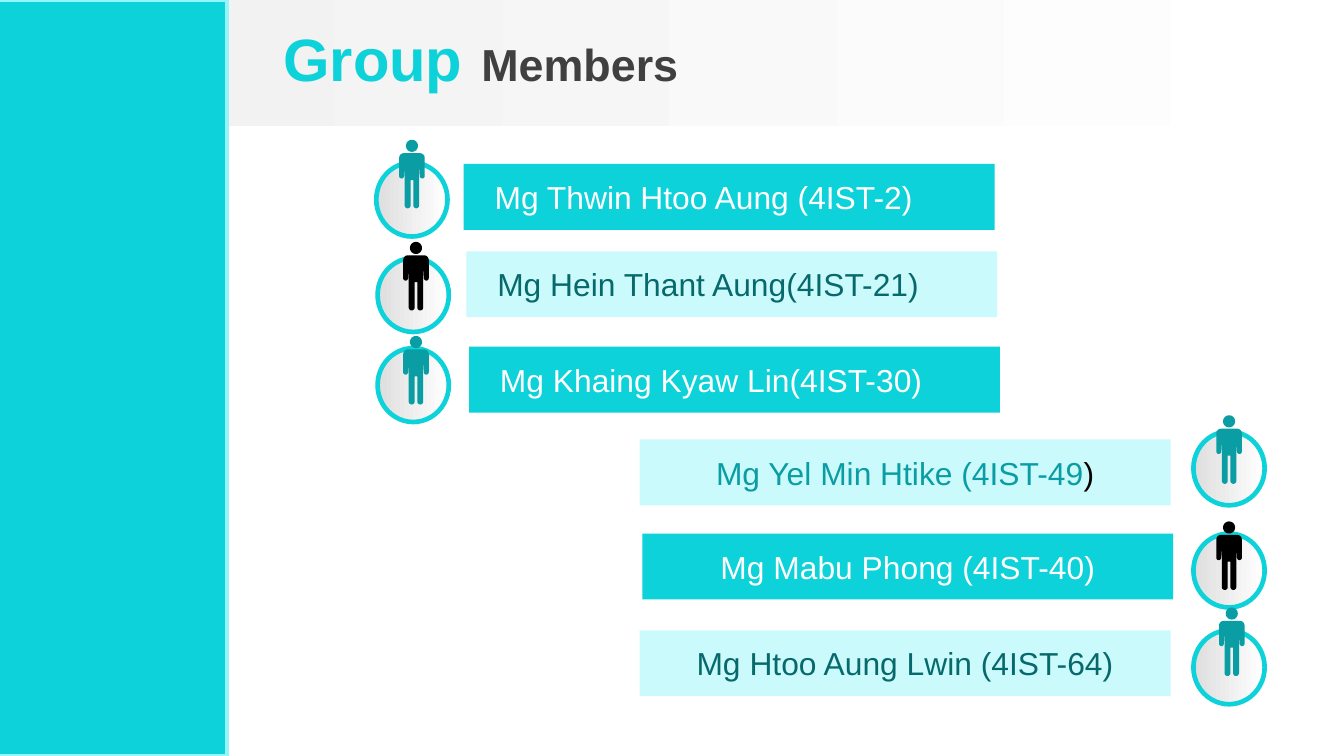
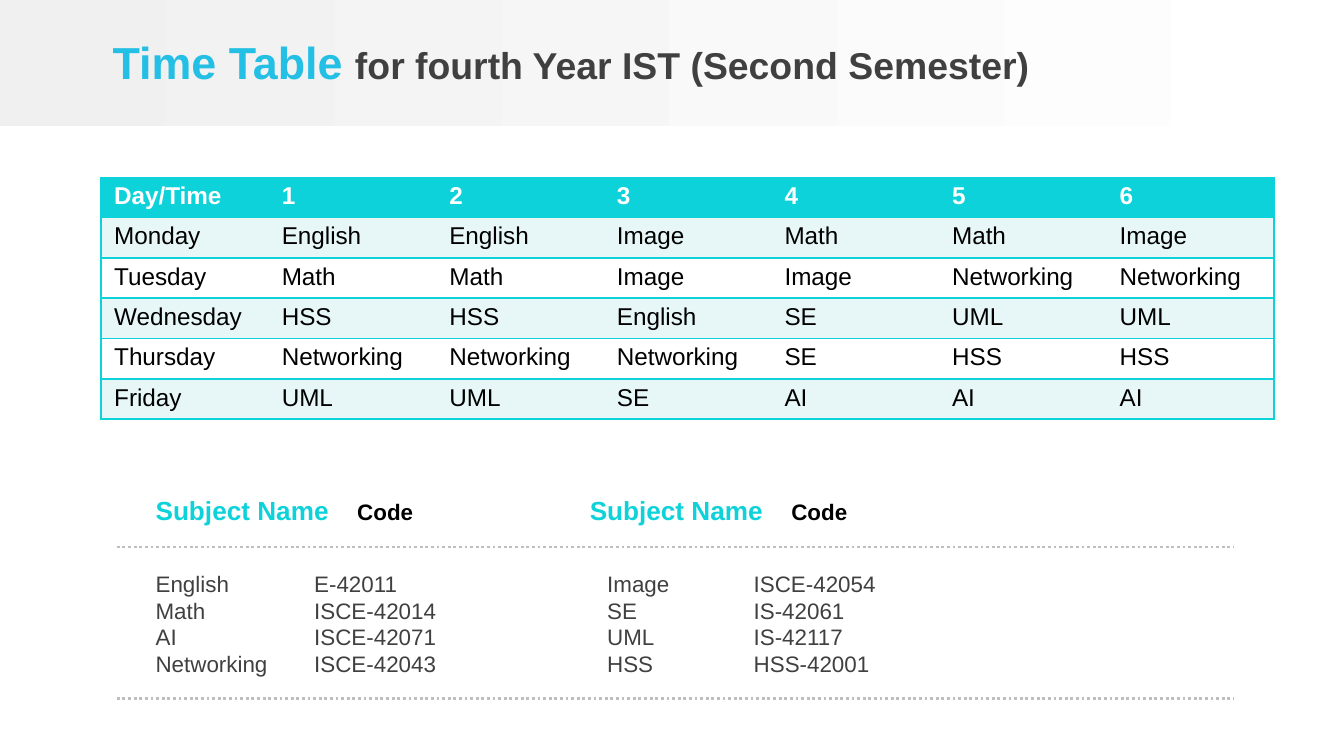
from math import cos, radians, sin

from lxml.etree import SubElement
from pptx import Presentation
from pptx.dml.color import RGBColor
from pptx.enum.dml import MSO_LINE
from pptx.enum.shapes import MSO_CONNECTOR, MSO_SHAPE
from pptx.enum.text import MSO_ANCHOR, PP_ALIGN
from pptx.oxml.ns import qn
from pptx.util import Inches, Pt

WIDTH = 10
HEIGHT = WIDTH * 9 / 16
FONT = "Arial"
COLOURS = {
    "cyan": "0DD2D9", "pale": "CAFAFC", "edge": "95F5F9", "teal": "0A9DA3",
    "deep": "07696C", "sky": "24BFE4", "ink": "404040", "black": "000000",
    "white": "FFFFFF", "band": "F0F0F0", "disc": "DEDEDE", "dots": "BFBFBF",
    "stripe": "E7F7F8",
}

GROUP_TITLE = [("Group", 32, "cyan", True), (" ", 36, "ink", True), ("Members", 24, "ink", True)]
TIMETABLE_TITLE = [("Time Table ", 24, "sky", True),
                   ("for fourth Year IST (Second Semester)", 20, "ink", True)]

MEMBERS = {
    "left": [
        ([("Mg Thwin Htoo Aung (4IST-2)", "white")], "cyan", (3.45, 1.22), (2.8, 1.21), (2.97, 1.04), "teal"),
        ([("Mg Hein Thant Aung(4IST-21)", "deep")], "pale", (3.47, 1.87), (2.81, 1.92), (3, 1.8), "black"),
        ([("Mg Khaing Kyaw Lin(4IST-30)", "white")], "cyan", (3.49, 2.58), (2.81, 2.59), (3, 2.5), "teal"),
    ],
    "right": [
        ([("Mg Yel Min Htike (4IST-49", "teal"), (")", "black")], "pale",
         (4.76, 3.27), (8.88, 3.21), (9.05, 3.09), "teal"),
        ([("Mg Mabu Phong (4IST-40)", "white")], "cyan", (4.78, 3.97), (8.88, 3.97), (9.05, 3.88), "black"),
        ([("Mg Htoo Aung Lwin (4IST-64)", "deep")], "pale", (4.76, 4.69), (8.88, 4.69), (9.07, 4.52), "teal"),
    ],
}
BAR_SIZE, DISC_SIZE = (3.95, 0.49), (0.53, 0.55)

PERSON_UNIT = 0.01
BODY_ARCS = [
    (3.5, 13.5, 3.5, 180, 270), (15.5, 13.5, 3.5, 270, 360),
    (17.2, 27, 1.8, 0, 180), (14.9, 18, 0, 0, 0),
    (12.7, 48.8, 2.2, 0, 180), (10.5, 30, 0, 0, 0), (8.5, 30, 0, 0, 0),
    (6.3, 48.8, 2.2, 0, 180), (4.1, 18, 0, 0, 0),
    (1.8, 27, 1.8, 0, 180),
]
HEAD_ARCS = [(9.5, 4.5, 4.5, 0, 360)]

TIMETABLE = [
    ["Day/Time", "1", "2", "3", "4", "5", "6"],
    ["Monday", "English", "English", "Image", "Math", "Math", "Image"],
    ["Tuesday", "Math", "Math", "Image", "Image", "Networking", "Networking"],
    ["Wednesday", "HSS", "HSS", "English", "SE", "UML", "UML"],
    ["Thursday", "Networking", "Networking", "Networking", "SE", "HSS", "HSS"],
    ["Friday", "UML", "UML", "SE", "AI", "AI", "AI"],
]
TABLE_LEFT, TABLE_TOP, TABLE_WIDTH, ROW, CELL_MARGIN = 0.75, 1.32, 8.73, 0.3, 0.04
SUBJECTS = [
    ("English", "E-42011", "Image", "ISCE-42054"),
    ("Math", "ISCE-42014", "SE", "IS-42061"),
    ("AI", "ISCE-42071", "UML", "IS-42117"),
    ("Networking", "ISCE-42043", "HSS", "HSS-42001"),
]
SUBJECT_HEADING = [("Subject Name\t", 14, "cyan", True), ("Code", 12, "black", True)]
HEADING_LEFTS, HEADING_TABS, SUBJECT_TABS = (1.06, 4.29), [1.5], [1.18, 3.36, 4.45]
RULE_SPAN, RULE_TOPS = (0.87, 9.18), (4.07, 5.2)


def rgb(colour):
    """Look up a named colour."""
    return RGBColor.from_string(COLOURS[colour])


def inches(*lengths):
    """Turn several lengths into slide units."""
    return [Inches(length) for length in lengths]


def write(paragraph, runs, tabs=()):
    """Add runs of (text, size, colour, bold) and the tab stops between them."""
    for text, size, colour, bold in runs:
        run = paragraph.add_run()
        run.text = text
        run.font.name, run.font.size, run.font.bold = FONT, Pt(size), bold
        run.font.color.rgb = rgb(colour)
    if tabs:
        stops = SubElement(paragraph._p.get_or_add_pPr(), qn("a:tabLst"))
        for stop in tabs:
            SubElement(stops, qn("a:tab"), pos=str(Inches(stop)), algn="l")


def add_text(slide, box, lines, tabs=(), anchor=MSO_ANCHOR.TOP):
    """Place a text box with one paragraph per line."""
    frame = slide.shapes.add_textbox(*inches(*box)).text_frame
    frame.word_wrap, frame.vertical_anchor = True, anchor
    for index, runs in enumerate(lines):
        write(frame.add_paragraph() if index else frame.paragraphs[0], runs, tabs)


def paint(shape, fill, edge=None, weight=0):
    """Give a shape a plain fill, or a left-to-right blend of two colours."""
    shape.shadow.inherit = False
    if isinstance(fill, tuple):
        shape.fill.gradient()
        shape.fill.gradient_angle = 0
        for stop, colour in zip(shape.fill.gradient_stops, fill):
            stop.color.rgb = rgb(colour)
    else:
        shape.fill.solid()
        shape.fill.fore_color.rgb = rgb(fill)
    if edge:
        shape.line.color.rgb, shape.line.width = rgb(edge), Pt(weight)
    else:
        shape.line.fill.background()
    return shape


def add_preset(slide, kind, corner, size, *look):
    """Place a painted preset shape."""
    return paint(slide.shapes.add_shape(kind, *inches(*corner, *size)), *look)


def start_slide(deck, title, box):
    """Add a blank slide with the title band and a title."""
    slide = deck.slides.add_slide(deck.slide_layouts[6])
    add_preset(slide, MSO_SHAPE.RECTANGLE, (0, 0), (9.96, 0.94), ("band", "white"))
    add_text(slide, box, [title], anchor=MSO_ANCHOR.MIDDLE)
    return slide


def trace(arcs, corner):
    """List the points along a chain of (centre x, centre y, radius, first, last) arcs."""
    points = []
    for x, y, radius, first, last in arcs:
        steps = (last - first) // 15
        for step in range(steps + 1):
            angle = radians(first + 15 * step)
            points.append(tuple(inches(corner[0] + PERSON_UNIT * (x + radius * cos(angle)),
                                       corner[1] + PERSON_UNIT * (y + radius * sin(angle)))))
    return points


def add_person(slide, corner, colour):
    """Draw a standing figure as one outline with a separate head."""
    body, head = trace(BODY_ARCS, corner), trace(HEAD_ARCS, corner)
    builder = slide.shapes.build_freeform(*body[0], scale=1.0)
    builder.add_line_segments(body[1:], close=True)
    builder.move_to(*head[0])
    builder.add_line_segments(head[1:], close=True)
    paint(builder.convert_to_shape(), colour)


def add_member(slide, side, name, fill, bar_corner, disc_corner, person_corner, colour):
    """Place a member's name bar, disc and figure."""
    bar = add_preset(slide, MSO_SHAPE.RECTANGLE, bar_corner, BAR_SIZE, fill)
    frame = bar.text_frame
    frame.vertical_anchor = MSO_ANCHOR.MIDDLE
    frame.paragraphs[0].alignment = PP_ALIGN.CENTER if side == "right" else PP_ALIGN.LEFT
    if side == "left":
        frame.margin_left = Inches(0.23)
    write(frame.paragraphs[0], [(text, 17, ink, False) for text, ink in name])
    add_preset(slide, MSO_SHAPE.OVAL, disc_corner, DISC_SIZE, ("disc", "white"), "cyan", 2.5)
    add_person(slide, person_corner, colour)


def set_borders(cell, sides):
    """Draw the named sides of a cell and hide the others."""
    properties = cell._tc.get_or_add_tcPr()
    for index, side in enumerate("LRTB"):
        line = SubElement(properties, qn(f"a:ln{side}"), w=str(Pt(1)))
        if side in sides:
            SubElement(SubElement(line, qn("a:solidFill")), qn("a:srgbClr"), val=COLOURS["cyan"])
        else:
            SubElement(line, qn("a:noFill"))
        properties.insert(index, line)


def add_timetable(slide):
    """Place the weekly timetable."""
    rows, columns = len(TIMETABLE), len(TIMETABLE[0])
    table = slide.shapes.add_table(
        rows, columns, *inches(TABLE_LEFT, TABLE_TOP, TABLE_WIDTH, rows * ROW)).table
    for r, entries in enumerate(TIMETABLE):
        fill = "cyan" if r == 0 else "stripe" if r % 2 else "white"
        for c, entry in enumerate(entries):
            cell = table.cell(r, c)
            cell.margin_top = cell.margin_bottom = Inches(CELL_MARGIN)
            cell.fill.solid()
            cell.fill.fore_color.rgb = rgb(fill)
            write(cell.text_frame.paragraphs[0], [(entry, 13, "black" if r else "white", r == 0)])
            set_borders(cell, "TB" + "L" * (c == 0) + "R" * (c == columns - 1))


def add_rule(slide, top):
    """Draw a dotted line across the subject list."""
    left, right = RULE_SPAN
    rule = slide.shapes.add_connector(MSO_CONNECTOR.STRAIGHT, *inches(left, top, right, top))
    rule.line.color.rgb, rule.line.width = rgb("dots"), Pt(1.5)
    rule.line.dash_style = MSO_LINE.ROUND_DOT
    SubElement(rule._element.spPr, qn("a:effectLst"))


def main():
    """Build the two slides."""
    deck = Presentation()
    deck.slide_width, deck.slide_height = inches(WIDTH, HEIGHT)

    group = start_slide(deck, GROUP_TITLE, (2.01, 0.04, 7.95, 0.74))
    add_preset(group, MSO_SHAPE.RECTANGLE, (-0.28, 0), (1.97, HEIGHT), "cyan", "edge", 2)
    for side, members in MEMBERS.items():
        for member in members:
            add_member(group, side, *member)

    timetable = start_slide(deck, TIMETABLE_TITLE, (0.74, 0.03, WIDTH - 0.74, 0.85))
    add_timetable(timetable)
    for left in HEADING_LEFTS:
        add_text(timetable, (left, 3.63, 2.36, 0.34), [SUBJECT_HEADING], HEADING_TABS)
    add_text(timetable, (1.06, 4.19, 8.07, 0.91),
             [[("\t".join(subject), 12, "ink", False)] for subject in SUBJECTS], SUBJECT_TABS)
    for top in RULE_TOPS:
        add_rule(timetable, top)

    deck.save("out.pptx")


if __name__ == "__main__":
    main()
